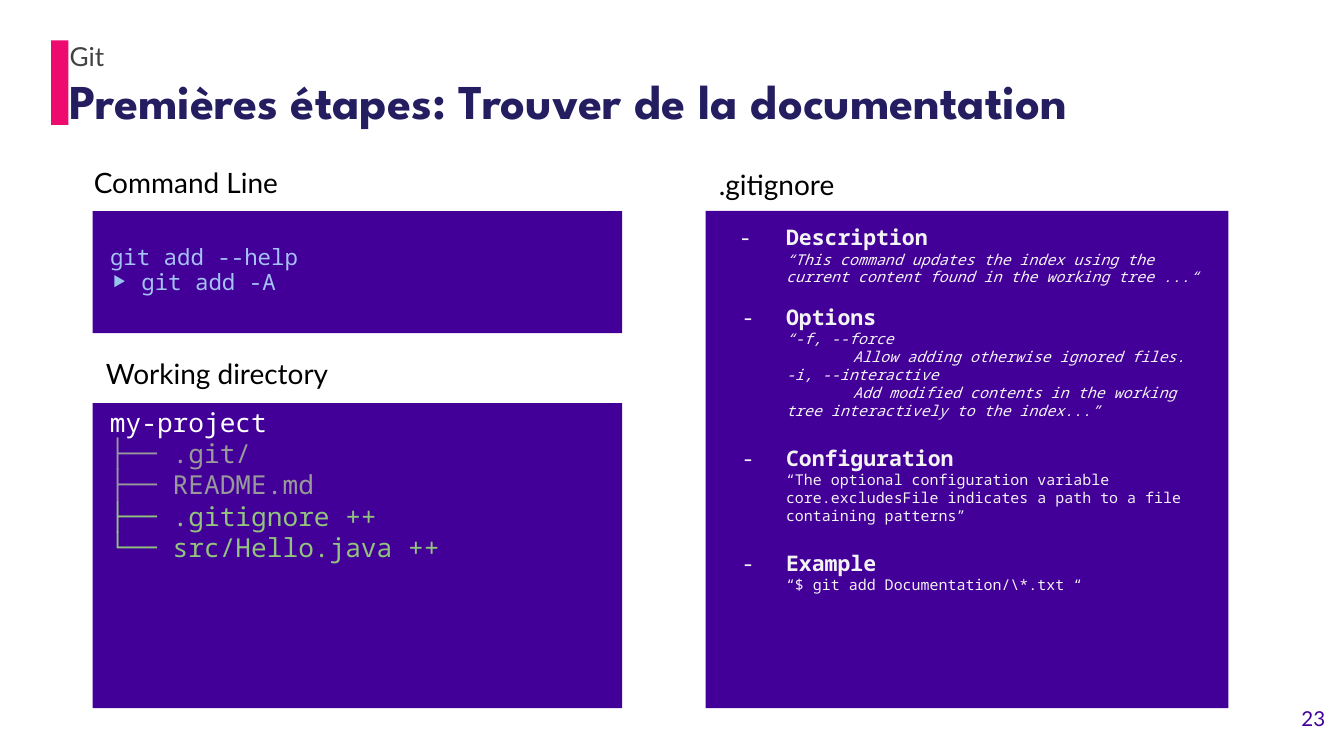
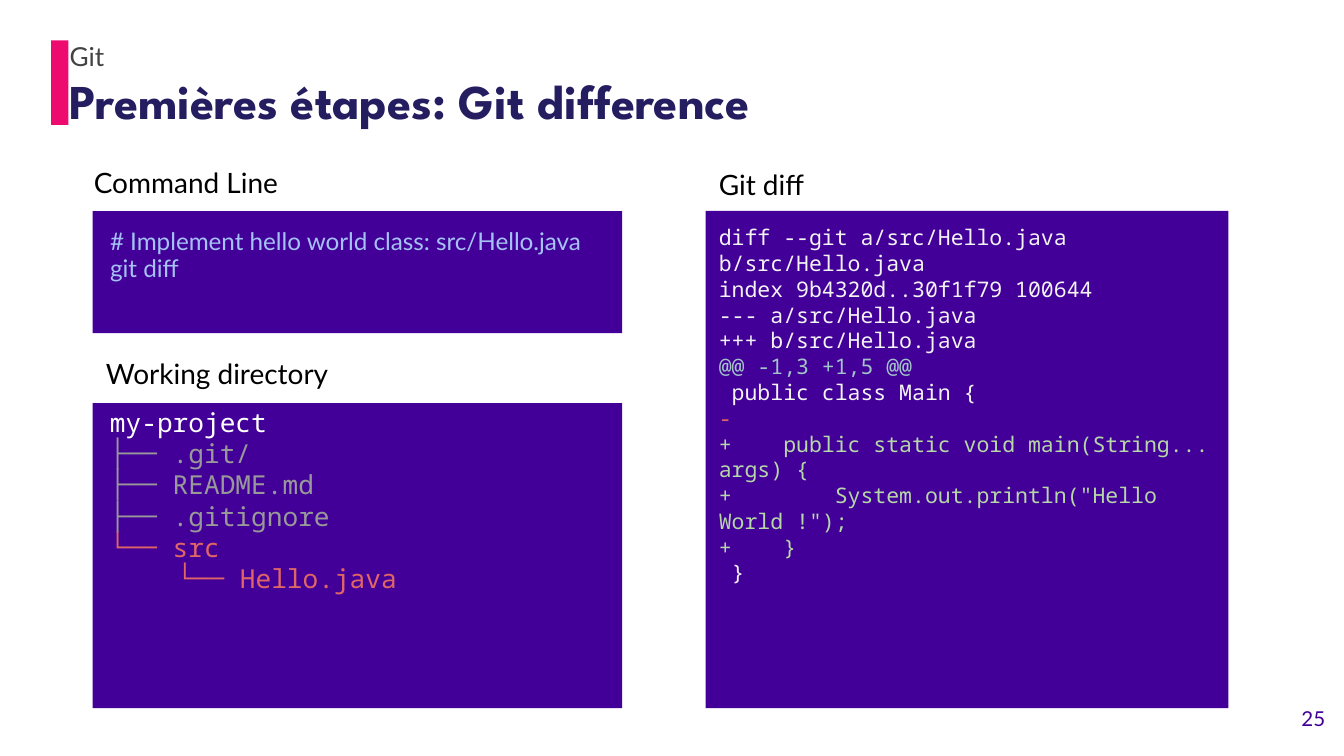
from lxml import etree
from pptx import Presentation
from pptx.dml.color import RGBColor
from pptx.enum.shapes import MSO_SHAPE
from pptx.enum.text import MSO_ANCHOR, PP_ALIGN
from pptx.oxml.ns import qn
from pptx.util import Inches, Pt

RECTANGLE = MSO_SHAPE.RECTANGLE
TOP, MIDDLE = MSO_ANCHOR.TOP, MSO_ANCHOR.MIDDLE
LEFT, RIGHT = PP_ALIGN.LEFT, PP_ALIGN.RIGHT

# Grid of square cells: 100 columns by 56.25 rows
COLUMNS = 100
SLIDE_WIDTH, SLIDE_HEIGHT = Inches(10), Inches(5.625)
CELL = SLIDE_WIDTH // COLUMNS
LEFT_COLUMN, LEFT_SPAN = 6.9, 39.4
RIGHT_COLUMN, RIGHT_SPAN = 52.5, 38.9
PANEL_TOP, PANEL_BOTTOM = 15.7, 52.7
COMMAND_ROWS, TREE_TOP = 9.1, 30

# Fonts and colours
SANS, MONO, DISPLAY = "Lato", "Noto Sans Mono", "League Spartan"
PURPLE, PINK, NAVY, CHARCOAL = "430099", "EE0B6F", "241D60", "434343"
BLACK, WHITE, PALE, GRAY = "000000", "FFFFFF", "F3F3F3", "999999"
BLUE, SKY, TEAL = "A4C2F4", "97C4EE", "A2C4C9"
GREEN, MINT, RED = "93C47D", "B6D7A8", "E06666"


def rgb(color):
    return RGBColor.from_string(color)


def cells(count):
    return round(count * CELL)


def set_dash_bullet(para, color):
    properties = para._p.get_or_add_pPr()
    bullet_color = etree.SubElement(properties, qn("a:buClr"))
    etree.SubElement(bullet_color, qn("a:srgbClr"), val=color)
    etree.SubElement(properties, qn("a:buFont"), typeface=MONO)
    etree.SubElement(properties, qn("a:buChar"), char="-")


def add_text(frame, text, size=14, font=SANS, color=BLACK, bold=False,
             italic=False, align=LEFT, spacing=None, before=None, margin=0,
             indent=0, dash=False, same_line=False):
    """Add a paragraph, or a span to the last one; indents in columns."""
    para = frame.paragraphs[-1]
    if not same_line:
        if para.runs:
            para = frame.add_paragraph()
        properties = para._p.get_or_add_pPr()
        properties.set("marL", str(cells(margin)))
        properties.set("indent", str(cells(indent)))
        para.alignment = align
        if spacing:
            para.line_spacing = spacing
        if before:
            para.space_before = Pt(before)
        if dash:
            set_dash_bullet(para, color)
    span = para.add_run()
    span.text = text
    span.font.size = Pt(size)
    span.font.name = font
    span.font.bold = bold
    span.font.italic = italic
    span.font.color.rgb = rgb(color)


class Slides:
    """Holds the deck, its style and the current page."""

    def __init__(self):
        self.deck = Presentation()
        self.deck.slide_width = SLIDE_WIDTH
        self.deck.slide_height = SLIDE_HEIGHT
        self.page = None

    def block(self, column, row, width, height, color=PURPLE):
        shape = self.page.shapes.add_shape(
            RECTANGLE, *map(cells, (column, row, width, height)))
        shape.shadow.inherit = False
        shape.fill.solid()
        shape.fill.fore_color.rgb = rgb(color)
        shape.line.fill.background()
        return self.prepare(shape.text_frame, TOP)

    def box(self, column, row, width, height, anchor=TOP):
        shape = self.page.shapes.add_textbox(
            *map(cells, (column, row, width, height)))
        return self.prepare(shape.text_frame, anchor)

    def prepare(self, frame, anchor):
        frame.word_wrap = True
        frame.vertical_anchor = anchor
        frame.margin_left = frame.margin_right = cells(1)
        frame.margin_top = frame.margin_bottom = cells(1)
        return frame

    def label(self, text, column, row):
        add_text(self.box(column, row, 22.7, 3.3), text, size=15)

    def start(self, title, number):
        """Open a page with its band, titles and number."""
        self.page = self.deck.slides.add_slide(self.deck.slide_layouts[6])
        self.block(3.8, 3, 1.3, 6.3, PINK)
        add_text(self.box(4.2, 4.3, 93.2, 6.3), title, size=26,
                 font=DISPLAY, color=NAVY, bold=True)
        add_text(self.box(4.2, 2.9, 93.2, 2.6, MIDDLE), "Git",
                 color=CHARCOAL)
        add_text(self.box(93.6, 51.6, 6, 4.3), str(number), size=11,
                 color=PURPLE, align=RIGHT)

    def command(self, row):
        """Command panel; row is the top of its centred text."""
        self.label("Command Line", 6, 11.3)
        self.block(LEFT_COLUMN, PANEL_TOP, LEFT_SPAN, COMMAND_ROWS)
        return self.box(7.2, row, RIGHT_SPAN, COMMAND_ROWS, MIDDLE)

    def tree(self, entries):
        """Directory panel; entries are (text, colour, first indent)."""
        self.label("Working directory", LEFT_COLUMN, 25.5)
        self.block(LEFT_COLUMN, TREE_TOP, LEFT_SPAN, PANEL_BOTTOM - TREE_TOP)
        frame = self.box(7.2, 29.2, LEFT_SPAN, 25.1)
        add_text(frame, "my-project", font=MONO, color=WHITE)
        for text, color, indent in entries:
            add_text(frame, text, font=MONO, color=color, indent=indent)

    def detail(self, heading):
        self.label(heading, RIGHT_COLUMN, 11.5)
        return self.block(RIGHT_COLUMN, PANEL_TOP, RIGHT_SPAN,
                          PANEL_BOTTOM - PANEL_TOP)


def documentation_page(slides):
    slides.start("Premières étapes: Trouver de la documentation", 23)

    # Commands
    frame = slides.command(15.6)
    command = {"size": 12, "font": MONO, "spacing": 0.9}
    add_text(frame, "git add --help", color=BLUE, **command)
    add_text(frame, "⯈ ", color=SKY, **command)
    add_text(frame, "git add -A", color=BLUE, same_line=True, **command)

    slides.tree([
        ("├── .git/", GRAY, 0),
        ("├── README.md", GRAY, 0),
        ("├── .gitignore ++", GREEN, 0),
        ("└── src/Hello.java ++", GREEN, 0),
    ])

    # Help sections: heading, space before, hanging indent, italic, lines
    sections = [
        ("Description", None, -3.5, True, [
            "“This command updates the index using the current content "
            "found in the working tree ...“"]),
        ("Options", 9.6, -3.3, True, [
            "“-f, --force",
            "\tAllow adding otherwise ignored files.",
            "-i, --interactive",
            "\tAdd modified contents in the working tree interactively "
            "to the index...”"]),
        ("Configuration", 13.8, -3.3, False, [
            "“The optional configuration variable core.excludesFile "
            "indicates a path to a file containing patterns”"]),
        ("Example", 13.8, -3.3, False, [
            "“$ git add Documentation/\\*.txt “"]),
    ]
    frame = slides.detail(".gitignore")
    style = {"font": MONO, "color": PALE, "margin": 5}
    for heading, before, indent, italic, lines in sections:
        add_text(frame, heading, size=11.5, bold=True, before=before,
                 indent=indent, dash=True, **style)
        for line in lines:
            add_text(frame, line, size=8, italic=italic, **style)


def difference_page(slides):
    slides.start("Premières étapes: Git difference", 25)

    # Commands
    frame = slides.command(14.5)
    for line in ("# Implement hello world class: src/Hello.java", "git diff"):
        add_text(frame, line, size=13, color=BLUE, spacing=0.9)

    slides.tree([
        ("├── .git/", GRAY, 0),
        ("├── README.md", GRAY, 0),
        ("├── .gitignore", GRAY, 0),
        ("└── src", RED, 0),
        ("└── Hello.java", RED, 5),
    ])

    # Diff output
    diff = [
        ("diff --git a/src/Hello.java b/src/Hello.java", PALE),
        ("index 9b4320d..30f1f79 100644", PALE),
        ("--- a/src/Hello.java", PALE),
        ("+++ b/src/Hello.java", PALE),
        ("@@ -1,3 +1,5 @@", TEAL),
        (" public class Main {", PALE),
        ("-", RED),
        ("+    public static void main(String... args) {", MINT),
        ("+        System.out.println(\"Hello World !\");", MINT),
        ("+    }", MINT),
        (" }", PALE),
    ]
    frame = slides.detail("Git diff")
    for line, color in diff:
        add_text(frame, line, size=11.5, font=MONO, color=color)


def main():
    slides = Slides()
    documentation_page(slides)
    difference_page(slides)
    slides.deck.save("out.pptx")


if __name__ == "__main__":
    main()
